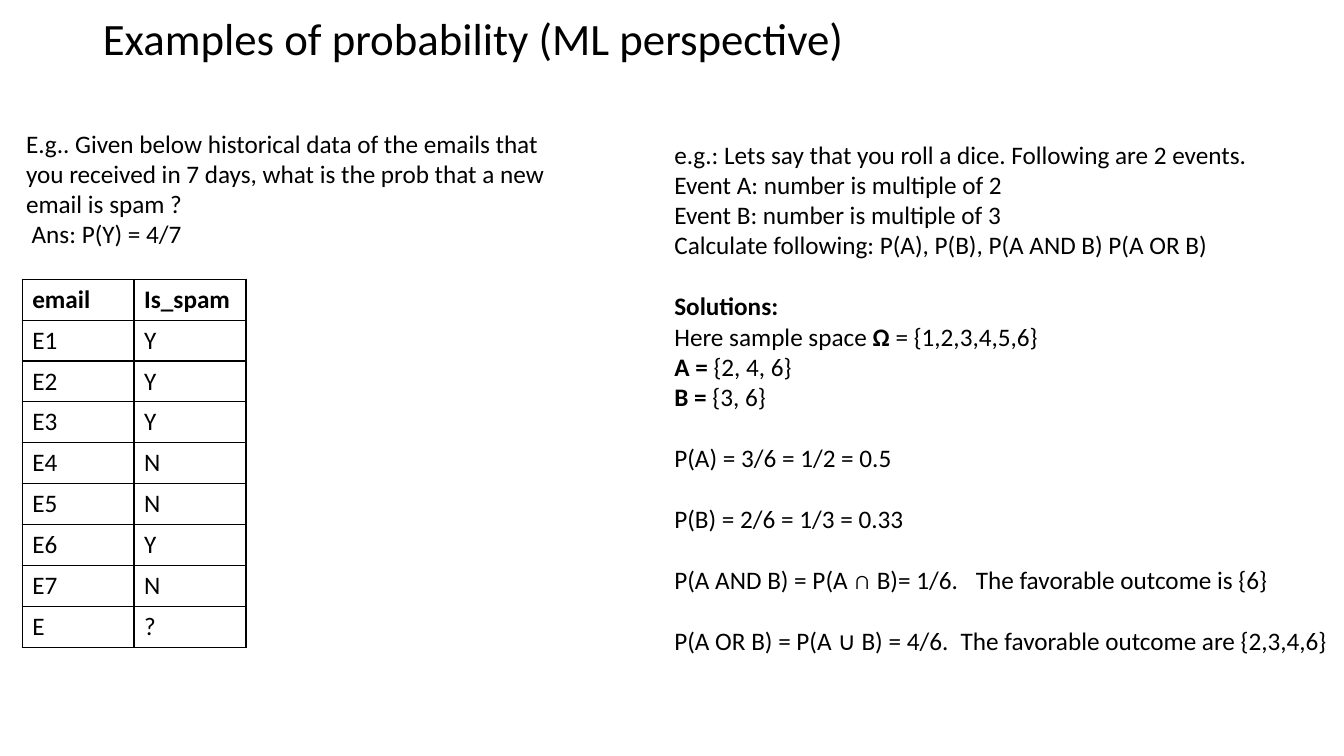
"""Build a slide with two worked examples of probability."""
from lxml import etree
from pptx import Presentation
from pptx import util as u
from pptx.dml.color import RGBColor
from pptx.enum import text
from pptx.oxml.ns import qn

BLACK = RGBColor(0x00, 0x00, 0x00)
FONT = "Calibri"
BODY_SIZE = 18
LINE_GAP = 22

EMAILS = [
    ("email", "Is_spam"),
    ("E1", "Y"),
    ("E2", "Y"),
    ("E3", "Y"),
    ("E4", "N"),
    ("E5", "N"),
    ("E6", "Y"),
    ("E7", "N"),
    ("E", "?"),
]

SPAM_QUESTION = [[
    "E.g.. Given below historical data of the emails that you received "
    "in 7 days, what is the prob that a new email is spam ?",
    " Ans: P(Y) = 4/7",
]]

DICE_GROUPS = [
    [
        "e.g.: Lets say that you roll a dice. Following are 2 events.",
        "Event A: number is multiple of 2",
        "Event B: number is multiple of 3",
        "Calculate following: P(A), P(B), P(A AND B) P(A OR B)",
    ],
    [
        "**Solutions:",
        "Here sample space **Ω **= {1,2,3,4,5,6}",
        "**A = **{2, 4, 6}",
        "**B = **{3, 6}",
    ],
    ["P(A) = 3/6 = 1/2 = 0.5"],
    ["P(B) = 2/6 = 1/3 = 0.33"],
    ["P(A AND B) = P(A ∩ B)= 1/6.\tThe favorable outcome is {6}"],
    ["P(A OR B) = P(A ∪ B) = 4/6.\tThe favorable outcome are {2,3,4,6}"],
]
OUTCOME_TABS = {"P(A AND B)": 2.99, "P(A OR B)": 2.84}


def style_run(r, size=BODY_SIZE, bold=False):
    r.font.name = FONT
    r.font.size = u.Pt(size)
    r.font.bold = bold
    r.font.color.rgb = BLACK


def add_title(s, title):
    sp = s.shapes.title
    sp.left, sp.top = u.Inches(0.92), u.Inches(0.11)
    sp.width, sp.height = u.Inches(11.5), u.Inches(0.59)
    tf = sp.text_frame
    tf.text = title
    tf.vertical_anchor = text.MSO_ANCHOR.MIDDLE
    p = tf.paragraphs[0]
    p.alignment = text.PP_ALIGN.LEFT
    p.line_spacing = 0.9
    style_run(p.runs[0], 32)


def add_tab(p, position):
    tabs = etree.SubElement(p._p.get_or_add_pPr(), qn("a:tabLst"))
    etree.SubElement(tabs, qn("a:tab"), pos=str(u.Inches(position)), algn="l")


def fill_paragraph(p, line):
    """Write a line whose bold parts are switched on and off by **."""
    for prefix, position in OUTCOME_TABS.items():
        if line.startswith(prefix):
            add_tab(p, position)
    for i, part in enumerate(line.split("**")):
        if part:
            r = p.add_run()
            r.text = part
            style_run(r, bold=i % 2 == 1)


def add_text(s, left, top, width, height, groups, wrap):
    sp = s.shapes.add_textbox(*map(u.Inches, (left, top, width, height)))
    tf = sp.text_frame
    tf.word_wrap = wrap
    tf.auto_size = text.MSO_AUTO_SIZE.SHAPE_TO_FIT_TEXT
    for g, group in enumerate(groups):
        for i, line in enumerate(group):
            first = g == 0 and i == 0
            p = tf.paragraphs[0] if first else tf.add_paragraph()
            if g and i == 0:
                p.space_before = u.Pt(LINE_GAP)
            fill_paragraph(p, line)


def add_borders(cell):
    tc_pr = cell._tc.get_or_add_tcPr()
    for i, side in enumerate(("lnL", "lnR", "lnT", "lnB")):
        ln = etree.Element(qn(f"a:{side}"), w=str(u.Pt(1)))
        fill = etree.SubElement(ln, qn("a:solidFill"))
        etree.SubElement(fill, qn("a:srgbClr"), val=str(BLACK))
        tc_pr.insert(i, ln)


def add_email_table(s, left, top, rows):
    col_width, row_height = u.Inches(1.11), u.Inches(0.4)
    n_rows, n_cols = len(rows), len(rows[0])
    table = s.shapes.add_table(
        n_rows, n_cols, u.Inches(left), u.Inches(top),
        col_width * n_cols, row_height * n_rows,
    ).table
    table.first_row = table.horz_banding = False
    for i, row in enumerate(rows):
        for j, value in enumerate(row):
            cell = table.cell(i, j)
            cell.text_frame.text = value
            style_run(cell.text_frame.paragraphs[0].runs[0], bold=i == 0)
            cell.fill.background()
            add_borders(cell)


def main():
    prs = Presentation()
    prs.slide_width, prs.slide_height = u.Inches(13.33), u.Inches(7.5)
    s = prs.slides.add_slide(prs.slide_layouts[5])
    add_title(s, "Examples of probability (ML perspective)")
    add_email_table(s, 0.22, 2.77, EMAILS)
    add_text(s, 0.16, 1.22, 5.46, 1.31, SPAM_QUESTION, True)
    add_text(s, 6.59, 1.33, 6.73, 5.25, DICE_GROUPS, False)
    prs.save("out.pptx")


if __name__ == "__main__":
    main()
